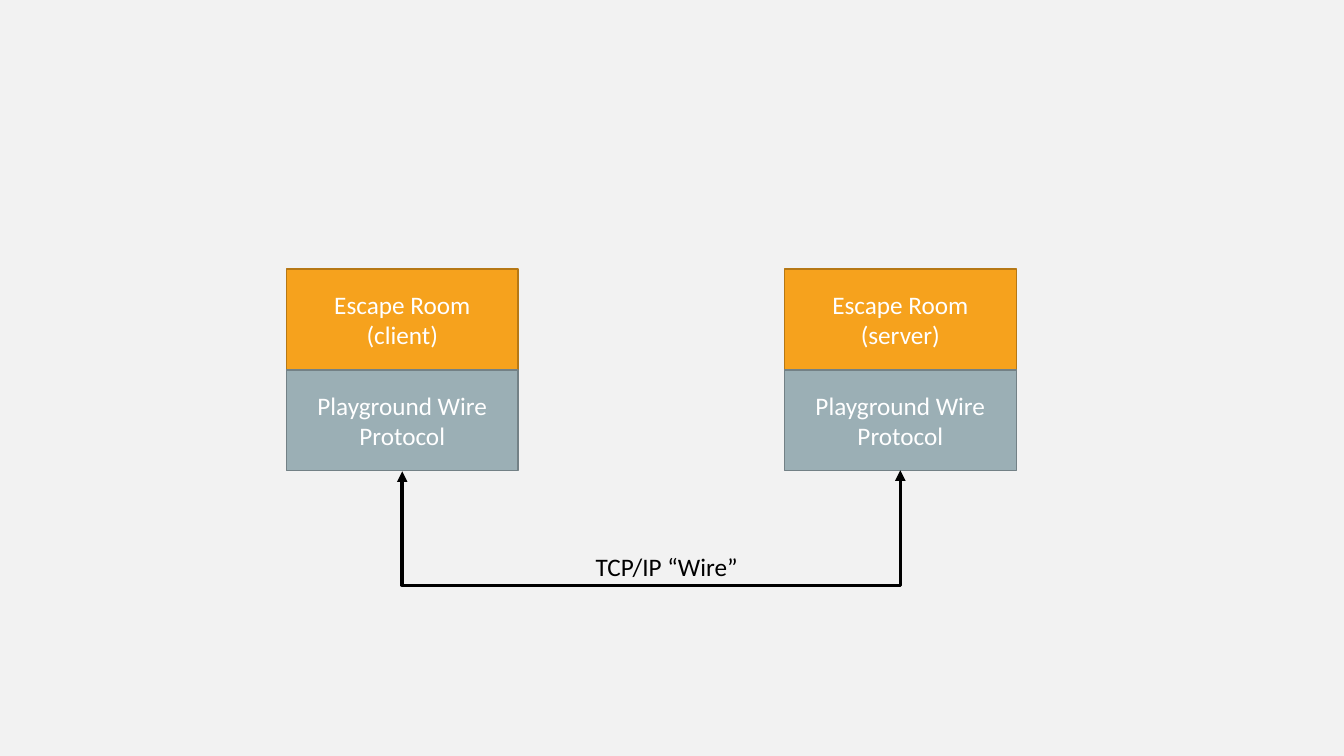
from lxml import etree
from pptx import Presentation
from pptx import util as u
from pptx.dml.color import RGBColor
from pptx.enum import shapes, text
from pptx.oxml.ns import qn

BACKGROUND = RGBColor(0xF2, 0xF2, 0xF2)
ORANGE = RGBColor(0xF6, 0xA2, 0x1D)
DARK_ORANGE = RGBColor(0xB6, 0x78, 0x15)
GRAY = RGBColor(0x9B, 0xAF, 0xB5)
DARK_GRAY = RGBColor(0x73, 0x81, 0x86)
WHITE = RGBColor(0xFF, 0xFF, 0xFF)
BLACK = RGBColor(0, 0, 0)

BOX_WIDTH, BOX_HEIGHT = 2.3, 1
STACK_TOP = 2.67
WIRE_DROP = 1.16
WIRE_RISE = 0.01
BOTTOM_SITE = 2


def write_text(frame, lines, color=BLACK, size=18, font="Calibri",
               align=text.PP_ALIGN.LEFT, anchor=text.MSO_ANCHOR.TOP, wrap=True):
    frame.word_wrap = wrap
    frame.vertical_anchor = anchor
    for index, line in enumerate(lines):
        paragraph = frame.paragraphs[0] if index == 0 else frame.add_paragraph()
        paragraph.alignment = align
        run = paragraph.add_run()
        run.text = line
        run.font.name = font
        run.font.size = u.Pt(size)
        run.font.color.rgb = color


class Diagram:
    def __init__(self, slide):
        self.slide = slide
        slide.background.fill.solid()
        slide.background.fill.fore_color.rgb = BACKGROUND

    def box(self, left, top, lines, fill, outline):
        shape = self.slide.shapes.add_shape(
            shapes.MSO_SHAPE.RECTANGLE, u.Inches(left), u.Inches(top),
            u.Inches(BOX_WIDTH), u.Inches(BOX_HEIGHT))
        shape.shadow.inherit = False
        shape.fill.solid()
        shape.fill.fore_color.rgb = fill
        shape.line.color.rgb = outline
        shape.line.width = u.Pt(1)
        write_text(shape.text_frame, lines, color=WHITE,
                   align=text.PP_ALIGN.CENTER, anchor=text.MSO_ANCHOR.MIDDLE)
        return shape

    def stack(self, left, role):
        self.box(left, STACK_TOP, ["Escape Room", f"({role})"], ORANGE, DARK_ORANGE)
        return self.box(left, STACK_TOP + BOX_HEIGHT,
                        ["Playground Wire Protocol"], GRAY, DARK_GRAY)

    def wire(self, start, end):
        connector = self.slide.shapes.add_connector(
            shapes.MSO_CONNECTOR.ELBOW, 0, 0, 0, 0)
        connector.begin_connect(start, BOTTOM_SITE)
        connector.end_connect(end, BOTTOM_SITE)
        span = end.left - start.left
        rise = u.Inches(WIRE_RISE)
        center_x = start.left + (start.width + span) // 2
        center_y = start.top + start.height
        connector.left, connector.top = center_x - rise // 2, center_y - span // 2
        connector.width, connector.height = rise, span
        properties = connector._element.spPr
        transform = properties.find(qn("a:xfrm"))
        transform.set("rot", str(270 * 60000))
        transform.set("flipH", "1")
        adjustments = properties.find(qn("a:prstGeom")).get_or_add_avLst()
        etree.SubElement(adjustments, qn("a:gd"), name="adj1",
                         fmla=f"val {round(WIRE_DROP / WIRE_RISE * 100000)}")
        connector.line.color.rgb = BLACK
        connector.line.width = u.Pt(2.5)
        line = properties.find(qn("a:ln"))
        for tip in ("a:headEnd", "a:tailEnd"):
            etree.SubElement(line, qn(tip), type="triangle")
        etree.SubElement(properties, qn("a:effectLst"))

    def label(self, left, top, width, height, words):
        shape = self.slide.shapes.add_textbox(
            u.Inches(left), u.Inches(top), u.Inches(width), u.Inches(height))
        write_text(shape.text_frame, [words], wrap=False)
        shape.text_frame.auto_size = text.MSO_AUTO_SIZE.SHAPE_TO_FIT_TEXT


presentation = Presentation()
presentation.slide_width = u.Inches(13.33)
presentation.slide_height = u.Inches(7.5)
diagram = Diagram(presentation.slides.add_slide(presentation.slide_layouts[6]))
client = diagram.stack(2.84, "client")
server = diagram.stack(7.78, "server")
diagram.wire(client, server)
diagram.label(5.81, 5.42, 1.72, 0.4, "TCP/IP “Wire”")
presentation.save("out.pptx")
